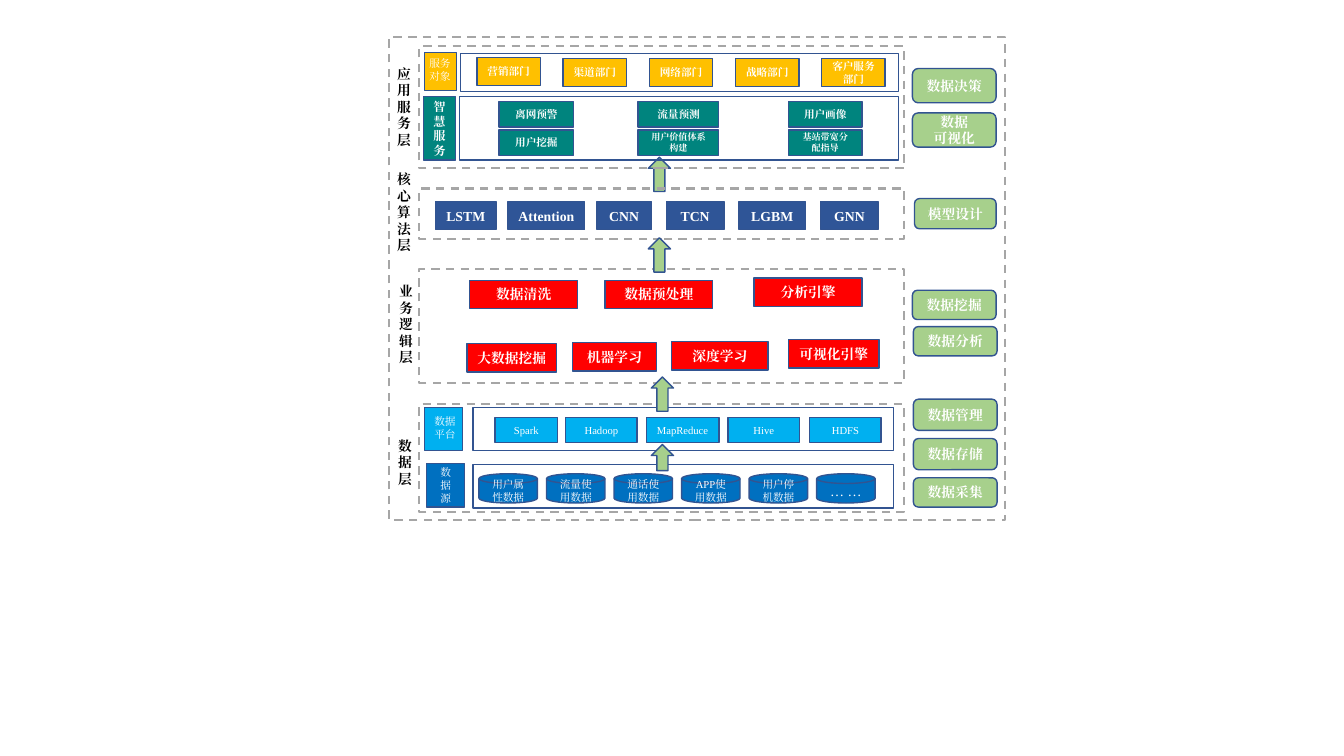
import pptx
import pptx.util
import pptx.dml.color
import pptx.enum.dml
import pptx.enum.shapes
import pptx.enum.text
import pptx.oxml.ns
import lxml.etree

Inches = pptx.util.Inches
Pt = pptx.util.Pt
RGBColor = pptx.dml.color.RGBColor
Shape = pptx.enum.shapes.MSO_SHAPE
Align = pptx.enum.text.PP_ALIGN
Anchor = pptx.enum.text.MSO_ANCHOR

FONT = "Times New Roman"
WHITE = RGBColor(0xFF, 0xFF, 0xFF)
BLACK = RGBColor(0, 0, 0)
GRAY = RGBColor(0xA6, 0xA6, 0xA6)
OUTLINE = RGBColor(0x32, 0x54, 0x91)
RED = RGBColor(0xFF, 0, 0)
SKY = RGBColor(0, 0xB0, 0xF0)
BLUE = RGBColor(0, 0x70, 0xC0)
NAVY = RGBColor(0x2F, 0x55, 0x97)
GREEN = RGBColor(0xA7, 0xD0, 0x8C)
TEAL = RGBColor(0, 0x84, 0x7E)
AMBER = RGBColor(0xFF, 0xC0, 0)

deck = pptx.Presentation()
deck.slide_width = Inches(13.33)
deck.slide_height = Inches(7.5)
page = deck.slides.add_slide(deck.slide_layouts[6])


def write(box, text, size, bold, color, align):
    frame = box.text_frame
    frame.word_wrap = True
    for index, line in enumerate(text.split("\n")):
        para = frame.add_paragraph() if index else frame.paragraphs[0]
        para.alignment = align
        span = para.add_run()
        span.text = line
        span.font.size = Pt(size)
        span.font.bold = bold
        span.font.name = FONT
        span.font.color.rgb = color
        properties = span.font.fill._xPr
        east_asian = lxml.etree.SubElement(properties, pptx.oxml.ns.qn("a:ea"))
        east_asian.set("typeface", FONT)


def add_box(kind, place, fill=None, text="", size=9.8, bold=True, dashed=False):
    box = page.shapes.add_shape(kind, *map(Inches, place))
    box.shadow.inherit = False
    if fill is None:
        box.fill.background()
    else:
        box.fill.solid()
        box.fill.fore_color.rgb = fill
    box.line.color.rgb = GRAY if dashed else OUTLINE
    box.line.width = Pt(1.5 if dashed else 1)
    if dashed:
        box.line.dash_style = pptx.enum.dml.MSO_LINE.DASH
    if text:
        box.text_frame.vertical_anchor = Anchor.MIDDLE
        write(box, text, size, bold, WHITE, Align.CENTER)


add_box(Shape.UP_ARROW, (6.43, 1.56, 0.22, 0.34), GREEN)

layer_frames = [
    (3.86, 0.37, 6.11, 4.79),
    (4.16, 0.46, 4.81, 1.21),
    (4.16, 1.87, 4.81, 0.5),
    (4.16, 2.67, 4.81, 1.13),
    (4.16, 4.01, 4.81, 1.07),
]
for place in layer_frames:
    add_box(Shape.RECTANGLE, place, dashed=True)

inner_frames = [
    (4.57, 0.53, 4.34, 0.38),
    (4.56, 0.96, 4.35, 0.63),
    (4.69, 4.04, 4.17, 0.43),
    (4.69, 4.61, 4.17, 0.43),
]
for place in inner_frames:
    add_box(Shape.RECTANGLE, place)

add_box(Shape.RECTANGLE, (4.21, 0.52, 0.32, 0.38), AMBER)
add_box(Shape.RECTANGLE, (4.2, 0.96, 0.32, 0.63), TEAL, "智慧服务", 8.7)
add_box(Shape.RECTANGLE, (4.21, 4.04, 0.38, 0.43), SKY)
add_box(Shape.RECTANGLE, (4.23, 4.6, 0.38, 0.43), BLUE, "数据源", 7.6, False)

departments = ["营销部门", "渠道部门", "网络部门", "战略部门", "客户服务部门"]
for index, name in enumerate(departments):
    top = 0.58 if index else 0.57
    add_box(Shape.RECTANGLE, (4.73 + 0.855 * index, top, 0.63, 0.28), AMBER, name, 7.6)

services = [
    (4.95, 0.74, "离网预警", "用户挖掘", 7.6),
    (6.33, 0.8, "流量预测", "用户价值体系构建", 6.5),
    (7.82, 0.73, "用户画像", "基站带宽分配指导", 6.5),
]
for left, width, upper, lower, lower_size in services:
    add_box(Shape.RECTANGLE, (left, 1.01, width, 0.25), TEAL, upper, 7.6)
    add_box(Shape.RECTANGLE, (left, 1.29, width, 0.25), TEAL, lower, lower_size)

algorithms = [
    (4.32, 0.6, "LSTM"),
    (5.04, 0.76, "Attention"),
    (5.92, 0.54, "CNN"),
    (6.61, 0.57, "TCN"),
    (7.33, 0.66, "LGBM"),
    (8.14, 0.57, "GNN"),
]
for left, width, name in algorithms:
    add_box(Shape.RECTANGLE, (left, 2, width, 0.28), NAVY, name)

logic_steps = [
    (4.66, 2.78, 1.07, "数据清洗"),
    (6, 2.78, 1.07, "数据预处理"),
    (7.48, 2.76, 1.07, "分析引擎"),
    (4.63, 3.41, 0.89, "大数据挖掘"),
    (5.68, 3.4, 0.83, "机器学习"),
    (6.66, 3.39, 0.96, "深度学习"),
    (7.82, 3.37, 0.9, "可视化引擎"),
]
for left, top, width, name in logic_steps:
    add_box(Shape.RECTANGLE, (left, top, width, 0.28), RED, name)

platforms = [
    (4.91, 0.62, "Spark"),
    (5.61, 0.71, "Hadoop"),
    (6.41, 0.72, "MapReduce"),
    (7.22, 0.71, "Hive"),
    (8.03, 0.71, "HDFS"),
]
for left, width, name in platforms:
    add_box(Shape.RECTANGLE, (left, 4.14, width, 0.25), SKY, name, 7.6, False)

sources = ["用户属性数据", "流量使用数据", "通话使用数据", "APP使用数据", "用户停机数据", "… …"]
for index, name in enumerate(sources):
    size = 10 if name == "… …" else 7.6
    place = (4.75 + 0.67 * index, 4.7, 0.58, 0.29)
    add_box(Shape.FLOWCHART_MAGNETIC_DISK, place, BLUE, name, size, False)

capabilities = [
    (9.05, 0.68, 0.83, 0.34, "数据决策"),
    (9.05, 1.12, 0.83, 0.34, "数据\n可视化"),
    (9.07, 1.97, 0.81, 0.3, "模型设计"),
    (9.05, 2.88, 0.83, 0.29, "数据挖掘"),
    (9.06, 3.24, 0.83, 0.29, "数据分析"),
    (9.06, 3.96, 0.83, 0.31, "数据管理"),
    (9.06, 4.35, 0.83, 0.31, "数据存储"),
    (9.06, 4.74, 0.83, 0.29, "数据采集"),
]
for *place, name in capabilities:
    add_box(Shape.ROUNDED_RECTANGLE, place, GREEN, name)

for place in [(6.43, 2.36, 0.22, 0.34), (6.46, 3.74, 0.22, 0.34), (6.46, 4.41, 0.22, 0.26)]:
    add_box(Shape.UP_ARROW, place, GREEN)

labels = [
    (3.84, 0.6, 0.26, 0.93, "应\n用\n服\n务\n层", 9.8, True, BLACK),
    (3.84, 1.65, 0.26, 0.93, "核心算法层", 9.8, True, BLACK),
    (3.86, 2.76, 0.26, 0.93, "业\n务\n逻\n辑\n层", 9.8, True, BLACK),
    (3.85, 4.29, 0.26, 0.6, "数\n据\n层", 9.8, True, BLACK),
    (4.16, 0.52, 0.44, 0.36, "服务对象", 7.6, False, WHITE),
    (4.21, 4.07, 0.44, 0.37, "数据\n平台", 7.6, False, WHITE),
]
for *place, text, size, bold, color in labels:
    box = page.shapes.add_textbox(*map(Inches, place))
    write(box, text, size, bold, color, Align.LEFT)

deck.save("out.pptx")
